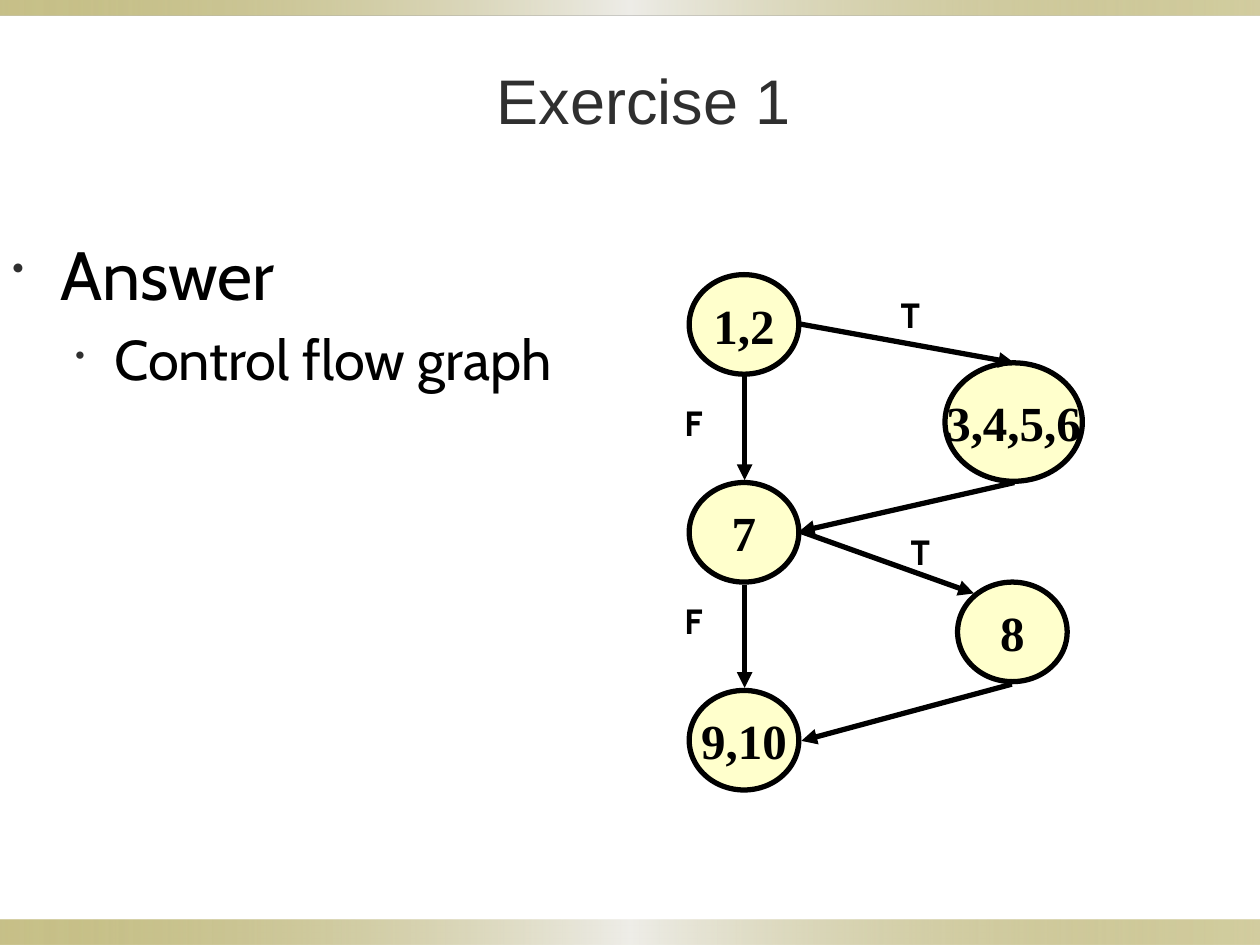
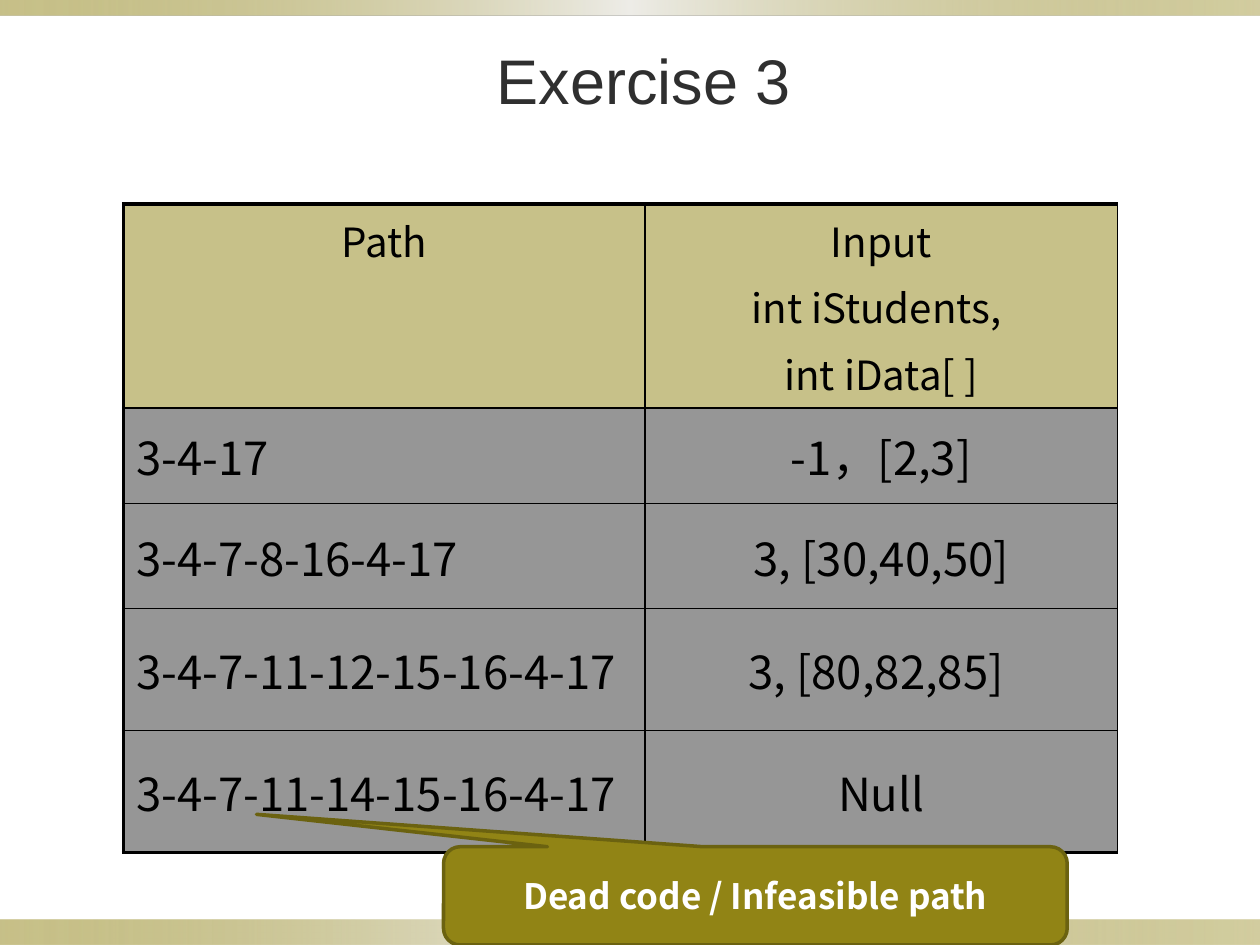
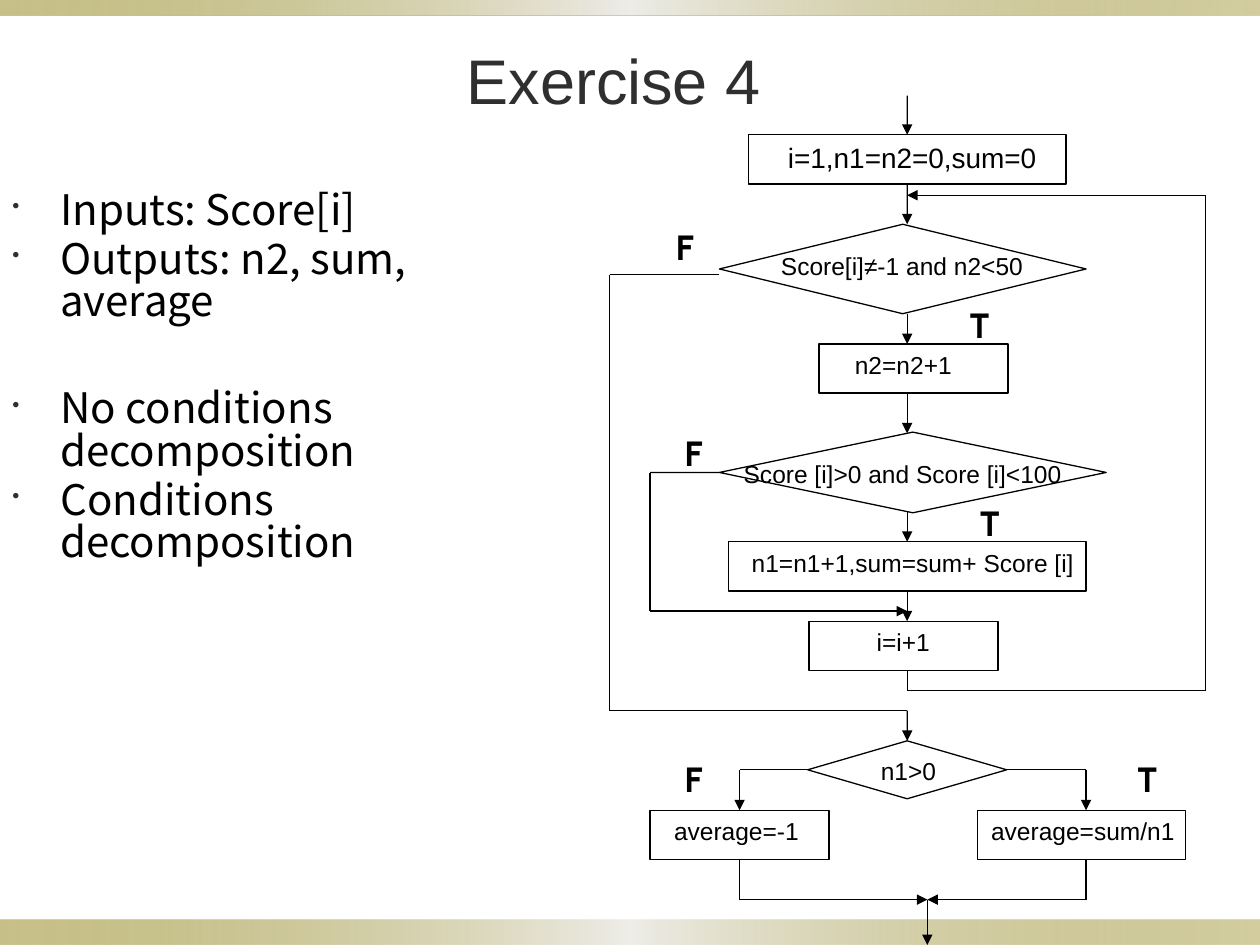
import lxml.etree
import pptx
import pptx.dml.color
import pptx.enum.shapes
import pptx.enum.text
import pptx.oxml
import pptx.oxml.ns
import pptx.util

Inches, Pt = pptx.util.Inches, pptx.util.Pt
SHAPE = pptx.enum.shapes.MSO_SHAPE
ALIGN = pptx.enum.text.PP_ALIGN
ANCHOR = pptx.enum.text.MSO_ANCHOR
qn = pptx.oxml.ns.qn

COLORS = {
    "ink": "000000", "paper": "FFFFFF", "title": "2F2F2F", "olive": "918415",
    "olive_dark": "6B6210", "sheen": "EEEDE8", "node": "FFFFCC",
}
SANS, CABIN, CJK, SERIF = "Arial", "Cabin", "Noto Sans CJK SC", "Times New Roman"


def rgb(color):
    return pptx.dml.color.RGBColor.from_string(COLORS[color])


def add_xml(parent, tag, **attributes):
    return lxml.etree.SubElement(parent, qn(tag), {k: str(v) for k, v in attributes.items()})


def write(frame, text, size=14, font=SANS, color="ink", bold=False, align=ALIGN.LEFT,
          before=0, spacing=None, bullet_indent=None):
    """Write one paragraph, after those already in the frame."""
    first = not frame.text
    paragraph = frame.paragraphs[0] if first else frame.add_paragraph()
    if bullet_indent:
        margin, hanging = bullet_indent
        properties = paragraph._p.get_or_add_pPr()
        properties.set("marL", str(Inches(margin)))
        properties.set("indent", str(-Inches(hanging)))
        add_xml(add_xml(properties, "a:buClr"), "a:srgbClr", val=COLORS["title"])
        add_xml(properties, "a:buSzPct", val=50000)
        add_xml(properties, "a:buChar", char="•")
    paragraph.alignment = align
    if before and not first:
        paragraph.space_before = Pt(before)
    if spacing:
        paragraph.line_spacing = spacing
    run = paragraph.add_run()
    run.text = text
    run.font.size, run.font.name, run.font.bold = Pt(size), font, bold
    run.font.color.rgb = rgb(color)


def add_box(slide, left, top, width, height, anchor=ANCHOR.TOP, wrap=True):
    box = slide.shapes.add_textbox(Inches(left), Inches(top), Inches(width), Inches(height))
    box.text_frame.word_wrap = wrap
    box.text_frame.vertical_anchor = anchor
    return box.text_frame


def add_figure(slide, kind, left, top, width, height, fill="paper", line="ink", weight=0.75):
    figure = slide.shapes.add_shape(
        kind, Inches(left), Inches(top), Inches(width), Inches(height))
    figure.shadow.inherit = False
    figure.fill.solid()
    figure.fill.fore_color.rgb = rgb(fill)
    figure.line.color.rgb = rgb(line)
    figure.line.width = Pt(weight)
    return figure


def add_line(slide, start, end, weight, arrow=True):
    line = slide.shapes.add_connector(
        pptx.enum.shapes.MSO_CONNECTOR.STRAIGHT, *(Inches(value) for value in start + end))
    line.line.color.rgb = rgb("ink")
    line.line.width = Pt(weight)
    if arrow:
        add_xml(line.line._get_or_add_ln(), "a:tailEnd", type="triangle")
    add_xml(line._element.spPr, "a:effectLst")
    return line


def side_at(steps, x, y):
    """Find the step and side whose middle lies at the point."""
    for step in steps:
        middle_x, middle_y = step.left + step.width // 2, step.top + step.height // 2
        sides = [(middle_x, step.top), (step.left, middle_y),
                 (middle_x, step.top + step.height), (step.left + step.width, middle_y)]
        for side, (side_x, side_y) in enumerate(sides):
            if max(abs(side_x - x), abs(side_y - y)) < Inches(0.02):
                return step, side
    return None


def add_route(slide, points, steps, weight=0.75):
    """Draw a chain of lines with an arrowhead at its end."""
    last = len(points) - 2
    for number, (start, end) in enumerate(zip(points, points[1:])):
        line = add_line(slide, start, end, weight, arrow=number == last)
        begin_side = side_at(steps, line.begin_x, line.begin_y)
        end_side = side_at(steps, line.end_x, line.end_y)
        if begin_side:
            line.begin_connect(*begin_side)
        if end_side:
            line.end_connect(*end_side)


def add_branch_labels(slide, labels, left, top, height):
    for text, x, y in labels:
        frame = add_box(slide, left + x, top + y, 0.55, height, ANCHOR.MIDDLE)
        write(frame, text, size=20, font=CABIN, bold=True, align=ALIGN.CENTER)


def add_band(slide, top, height):
    band = add_figure(slide, SHAPE.RECTANGLE, 0, top, 10, height)
    band.line.fill.background()
    properties = band._element.spPr
    gradient = pptx.oxml.parse_xml(
        '<a:gradFill xmlns:a="http://schemas.openxmlformats.org/drawingml/2006/main"/>')
    stops = add_xml(gradient, "a:gsLst")
    for position, color, opacity in [(0, "olive", 50), (50, "sheen", 100), (100, "olive", 40)]:
        stop = add_xml(stops, "a:gs", pos=position * 1000)
        shade = add_xml(stop, "a:srgbClr", val=COLORS[color])
        if opacity < 100:
            add_xml(shade, "a:alpha", val=opacity * 1000)
    add_xml(gradient, "a:lin", ang=0, scaled=0)
    properties.replace(properties.find(qn("a:solidFill")), gradient)


def start_slide(deck, heading, left=0.86, height=0.94):
    slide = deck.slides.add_slide(deck.slide_layouts[5])
    add_band(slide, 7.3, 0.2)
    add_band(slide, 0, 0.12)
    title = slide.shapes.title
    title.left, title.top = Inches(left), Inches(0.16)
    title.width, title.height = Inches(8.5), Inches(height)
    title.text_frame.vertical_anchor = ANCHOR.MIDDLE
    write(title.text_frame, heading, size=36, color="title", align=ALIGN.CENTER)
    return slide


def control_flow_graph(slide, left, top):
    nodes = [
        ("1,2", 0.27, 0.08, 0.87, 0.79), ("7", 0.27, 1.73, 0.87, 0.79),
        ("9,10", 0.27, 3.38, 0.87, 0.79), ("8", 2.4, 2.52, 0.87, 0.79),
        ("3,4,5,6", 2.3, 0.78, 1.09, 0.94),
    ]
    for text, x, y, width, height in nodes:
        node = add_figure(slide, SHAPE.OVAL, left + x, top + y, width, height, "node", weight=3)
        node.text_frame.word_wrap = False
        node.text_frame.vertical_anchor = ANCHOR.MIDDLE
        write(node.text_frame, text, size=28, font=SERIF, bold=True, align=ALIGN.CENTER)
    edges = [
        (0.71, 0.88, 0.71, 1.71), (0.71, 2.54, 0.71, 3.36), (2.85, 1.73, 1.14, 2.12),
        (1.16, 2.12, 2.53, 2.61), (1.14, 0.47, 2.85, 0.78), (2.83, 3.33, 1.16, 3.78),
    ]
    for x1, y1, x2, y2 in edges:
        add_line(slide, (left + x1, top + y1), (left + x2, top + y2), 3)
    labels = [("T", 1.75, 0.24), ("T", 1.83, 2.12), ("F", 0.03, 1.1), ("F", 0.03, 2.67)]
    add_branch_labels(slide, labels, left, top, 0.31)


def fill_cell(cell, color, borders):
    cell.fill.solid()
    cell.fill.fore_color.rgb = rgb(color)
    properties = cell._tc.tcPr
    add_xml(next(properties.iter(qn("a:srgbClr"))), "a:alpha", val=50000)
    for place, (side, weight) in enumerate(borders.items()):
        border = add_xml(properties, f"a:ln{side}", w=int(Pt(weight)))
        add_xml(add_xml(border, "a:solidFill"), "a:srgbClr", val=COLORS["ink"])
        properties.insert(place, border)


def path_table(slide, left, top):
    rows = [
        (["Path"], ["Input", "int iStudents, ", "int iData[ ]"]),
        (["3-4-17"], ["-1，[2,3]"]),
        (["3-4-7-8-16-4-17"], ["3, [30,40,50]"]),
        (["3-4-7-11-12-15-16-4-17"], ["3, [80,82,85] "]),
        (["3-4-7-11-14-15-16-4-17"], ["Null"]),
    ]
    widths, heights = [4.14, 3.75], [1.4, 0.76, 0.83, 0.97, 0.97]
    table = slide.shapes.add_table(
        len(rows), len(widths), Inches(left), Inches(top),
        Inches(sum(widths)), Inches(sum(heights))).table
    table.first_row = table.horz_banding = False
    for column, width in zip(table.columns, widths):
        column.width = Inches(width)
    for r, (row, height) in enumerate(zip(rows, heights)):
        table.rows[r].height = Inches(height)
        header, bottom = r == 0, r == len(rows) - 1
        for c, lines in enumerate(row):
            cell = table.cell(r, c)
            cell.vertical_anchor = ANCHOR.TOP if header else ANCHOR.MIDDLE
            for line in lines:
                write(cell.text_frame, line, size=23 if header else 26, font=CJK, before=4.6,
                      align=ALIGN.CENTER if header or c else ALIGN.LEFT)
            fill_cell(cell, "olive" if header else "title", {
                "L": 1 if c else 2.25, "R": 1,
                "T": 2.25 if header else 1, "B": 2.25 if bottom else 1})


def dead_code_callout(slide, left, top):
    callout = add_figure(slide, SHAPE.ROUNDED_RECTANGULAR_CALLOUT, left, top, 4.95, 0.78,
                         "olive", "olive_dark", 2)
    for number, value in enumerate([-0.8, -0.83, 0.17]):
        callout.adjustments[number] = value
    callout.text_frame.vertical_anchor = ANCHOR.MIDDLE
    write(callout.text_frame, "Dead code / Infeasible path", size=20, font=CJK,
          color="paper", bold=True, align=ALIGN.CENTER)


def flowchart(slide, left, top):
    # Steps and decisions
    process, decision = SHAPE.FLOWCHART_PROCESS, SHAPE.FLOWCHART_DECISION
    outlines = [
        (SHAPE.RECTANGLE, 1.14, 0.37, 2.52, 0.39), (decision, 0.91, 1.08, 2.91, 0.71),
        (process, 1.7, 2.03, 1.5, 0.39), (decision, 0.91, 2.73, 3.07, 0.64),
        (SHAPE.RECTANGLE, 0.98, 3.6, 2.84, 0.39), (process, 1.62, 4.23, 1.5, 0.39),
        (decision, 1.61, 5.18, 1.58, 0.46), (SHAPE.RECTANGLE, 0.36, 5.73, 1.42, 0.39),
        (SHAPE.RECTANGLE, 2.96, 5.73, 1.65, 0.39),
    ]
    steps = [add_figure(slide, kind, left + x, top + y, width, height)
             for kind, x, y, width, height in outlines]

    # Wording of the steps
    captions = [
        ("i=1,n1=n2=0,sum=0", 1.22, 0.37, 2.44, 0.47, 16, ALIGN.CENTER),
        ("Score[i]≠-1 and n2<50", 1.3, 1.24, 2.6, 0.47, 14, ALIGN.JUSTIFY),
        ("n2=n2+1", 1.62, 2.03, 1.5, 0.32, 14, ALIGN.CENTER),
        ("Score [i]>0 and Score [i]<100", 0.83, 2.89, 3.07, 0.55, 14, ALIGN.CENTER),
        ("n1=n1+1,sum=sum+ Score [i]", 0.99, 3.6, 2.91, 0.33, 14, ALIGN.CENTER),
        ("i=i+1", 1.62, 4.23, 1.5, 0.44, 14, ALIGN.CENTER),
        ("n1>0", 2.09, 5.25, 0.64, 0.33, 14, ALIGN.CENTER),
        ("average=-1", 0.44, 5.73, 1.21, 0.33, 14, ALIGN.CENTER),
        ("average=sum/n1", 2.96, 5.73, 1.67, 0.33, 14, ALIGN.CENTER),
    ]
    for text, x, y, width, height, size, align in captions:
        frame = add_box(slide, left + x, top + y, width, height, wrap=align == ALIGN.JUSTIFY)
        write(frame, text, size=size, align=align)

    # Main path downwards, then loops and branches
    spine, merge = 2.4, 2.56
    drops = [(0.06, 0.37), (0.76, 1.08), (1.79, 2.03), (2.42, 2.74), (3.36, 3.6), (3.99, 4.23)]
    routes = [[(spine, y1), (spine, y2)] for y1, y2 in drops] + [
        [(spine, 4.62), (spine, 4.78), (4.77, 4.78), (4.77, 0.85), (spine, 0.85)],
        [(0.91, 1.48), (0.04, 1.48), (0.04, 4.94), (spine, 4.94), (spine, 5.18)],
        [(0.91, 3.05), (0.36, 3.05), (0.36, 4.15), (spine, 4.15)],
        [(1.61, 5.41), (1.07, 5.41), (1.07, 5.73)],
        [(3.19, 5.41), (3.82, 5.41), (3.82, 5.73)],
        [(1.07, 6.12), (1.07, 6.44), (merge, 6.44)],
        [(3.82, 6.12), (3.82, 6.44), (merge, 6.44)],
        [(merge, 6.44), (merge, 6.8)],
    ]
    for route in routes:
        add_route(slide, [(left + x, top + y) for x, y in route], steps)

    labels = [("T", 2.7, 1.64), ("F", 0.36, 1.02), ("T", 2.78, 3.21),
              ("F", 0.43, 2.66), ("F", 0.43, 5.24), ("T", 4.03, 5.24)]
    add_branch_labels(slide, labels, left, top, 0.47)


def answer_slide(deck):
    slide = start_slide(deck, "Exercise 1", height=1.25)
    answer = add_box(slide, 0, 1.79, 4.92, 4.95)
    write(answer, "Answer", size=39, font=CABIN, bullet_indent=(0.38, 0.38))
    write(answer, "Control flow graph", size=32, font=CABIN, before=6.4,
          bullet_indent=(0.81, 0.31))
    control_flow_graph(slide, 5.2, 2.1)


def path_slide(deck):
    slide = start_slide(deck, "Exercise 3")
    path_table(slide, 0.98, 1.62)
    dead_code_callout(slide, 3.52, 6.72)


def flowchart_slide(deck):
    slide = start_slide(deck, "Exercise 4", left=0.62)
    task = add_box(slide, 0, 1.47, 4.57, 5.23)
    lines = [("Inputs: Score[i]", 0), ("Outputs: n2, sum, average", 4),
             ("No conditions decomposition", 37), ("Conditions decomposition", 4)]
    for text, before in lines:
        write(task, text, size=24, font=CJK, before=before, spacing=0.84,
              bullet_indent=(0.38, 0.38))
    # Keep the wrapped lines clear of the flowchart
    task.margin_right = Inches(0.8)
    flowchart(slide, 4.8, 0.7)


def main():
    deck = pptx.Presentation()
    deck.slide_width, deck.slide_height = Inches(10), Inches(7.5)
    answer_slide(deck)
    path_slide(deck)
    flowchart_slide(deck)
    deck.save("out.pptx")


if __name__ == "__main__":
    main()
